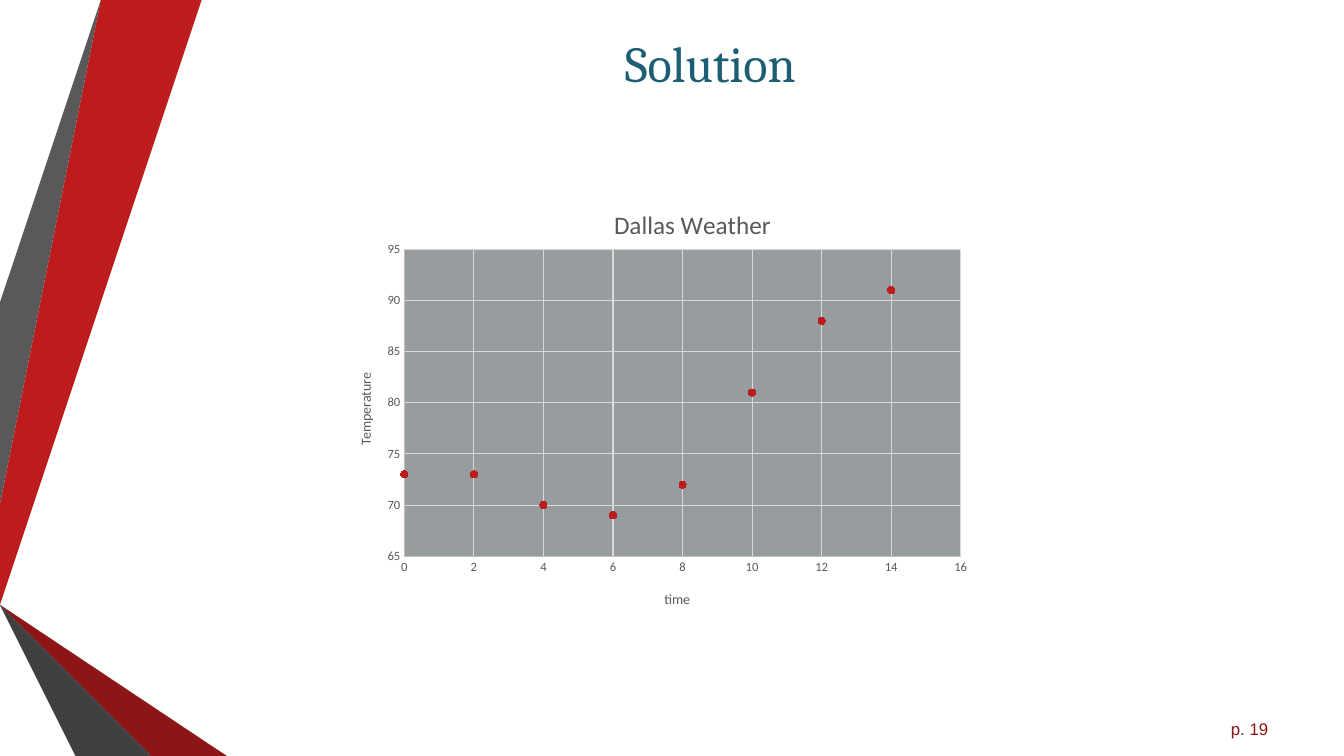
from lxml import etree
from pptx import Presentation
from pptx import util as u
from pptx.chart.data import XyChartData
from pptx.dml.color import RGBColor
from pptx.enum import chart as ch, text
from pptx.oxml import ns

W, H = 13.33, 7.5
RED, DARK_RED, GREY = "BC1C1C", "8D1515", "595959"

# Ribbon outlines in inches: colour, corner points
RIBBONS = [
    (RED, [(0, 5.44), (0, 5.75), (0.29, 5.79), (1.56, 0), (1.19, 0)]),
    (GREY, [(1.11, 0), (0.74, 0), (0, 3.36), (0, 5.06)]),
    ("262626", [(0, 6.19), (0, 6.21), (1.25, H), (1.32, H)]),
    ("5E0E0E", [(0, 5.79), (0, 5.8), (2.09, H), (2.17, H)]),
    (DARK_RED, [(0, 5.79), (2.17, H), (3.11, H), (0.29, 5.79), (0, 5.75)]),
    ("404040", [(0, 6.19), (1.32, H), (2.01, H), (0, 5.86)]),
]
TEMPERATURES = [73, 73, 70, 69, 72, 81, 88, 91]


def rgb(value):
    return RGBColor.from_string(value)


def set_font(font, size, color, name="Calibri"):
    for key, value in dict(size=u.Pt(size), name=name, bold=False).items():
        setattr(font, key, value)
    font.color.rgb = rgb(color)


def set_line(line, color):
    line.color.rgb = rgb(color)
    line.width = u.Pt(0.75)


def add_ribbons(s):
    for color, points in RIBBONS:
        builder = s.shapes.build_freeform(*points[0], scale=u.Inches(1))
        builder.add_line_segments(points[1:], close=True)
        sp = builder.convert_to_shape()
        sp.shadow.inherit = False
        sp.fill.solid()
        sp.fill.fore_color.rgb = rgb(color)
        sp.line.fill.background()


def add_label(s, box, words, size, color, name, align, anchor):
    tf = s.shapes.add_textbox(*map(u.Inches, box)).text_frame
    tf.word_wrap = True
    tf.vertical_anchor = anchor
    p = tf.paragraphs[0]
    p.alignment = align
    r = p.add_run()
    r.text = words
    set_font(r.font, size, color, name)


def make_layout(**values):
    """Manual chart layout, in shares of the chart's size."""
    layout = etree.Element(ns.qn("c:layout"))
    manual = etree.SubElement(layout, ns.qn("c:manualLayout"))
    for key, value in values.items():
        etree.SubElement(manual, ns.qn("c:" + key), val=str(value))
    return layout


def place(parent, layout):
    for old in parent.findall(ns.qn("c:layout")):
        parent.remove(old)
    tx = parent.find(ns.qn("c:tx"))
    parent.insert(0 if tx is None else 1, layout)


def set_title(title, words, size, x, y):
    p = title.text_frame.paragraphs[0]
    r = p.add_run()
    r.text = words
    set_font(r.font, size, GREY)
    place(title.element, make_layout(xMode="edge", yMode="edge", x=x, y=y))


def style_axis(axis, low, high, step):
    for key, value in dict(minimum_scale=low, maximum_scale=high, major_unit=step,
                           has_major_gridlines=True,
                           major_tick_mark=ch.XL_TICK_MARK.NONE,
                           minor_tick_mark=ch.XL_TICK_MARK.NONE).items():
        setattr(axis, key, value)
    set_font(axis.tick_labels.font, 9, GREY)
    set_line(axis.format.line, "BFBFBF")
    set_line(axis.major_gridlines.format.line, "D9D9D9")


def add_weather_chart(s, box):
    data = XyChartData()
    series = data.add_series("Series 1")
    for i, temperature in enumerate(TEMPERATURES):
        series.add_data_point(2 * i, temperature)
    chart = s.shapes.add_chart(ch.XL_CHART_TYPE.XY_SCATTER, *map(u.Inches, box), data).chart
    set_font(chart.font, 10, "000000")
    chart.has_legend = False

    # Titles and axes
    chart.has_title = True
    set_title(chart.chart_title, "Dallas Weather", 18, 0.43, 0.04)
    time, heat = chart.category_axis, chart.value_axis
    style_axis(time, 0, 16, 2)
    style_axis(heat, 65, 95, 5)
    set_title(time.axis_title, "time", 10, 0.51, 0.89)
    set_title(heat.axis_title, "Temperature", 10, 0.04, 0.41)
    for body in heat.axis_title.element.iter(ns.qn("a:bodyPr")):
        body.set("rot", "-5400000")
        body.set("vert", "horz")

    # Plot area
    plot_area = chart.element.find(".//" + ns.qn("c:plotArea"))
    place(plot_area, make_layout(layoutTarget="inner", xMode="edge", yMode="edge",
                                 x=0.117, y=0.143, w=0.849, h=0.677))
    sp_pr = etree.SubElement(plot_area, ns.qn("c:spPr"))
    fill = etree.SubElement(sp_pr, ns.qn("a:solidFill"))
    etree.SubElement(fill, ns.qn("a:srgbClr"), val="979D9F")

    # Points
    plot = chart.plots[0]
    plot.vary_by_categories = False
    points = plot.series[0]
    points.smooth = False
    points.format.line.fill.background()
    marker = points.marker
    marker.style = ch.XL_MARKER_STYLE.CIRCLE
    marker.size = 5
    marker.format.fill.solid()
    marker.format.fill.fore_color.rgb = rgb(RED)
    set_line(marker.format.line, RED)


def main():
    prs = Presentation()
    prs.slide_width, prs.slide_height = u.Inches(W), u.Inches(H)
    s = prs.slides.add_slide(prs.slide_layouts[6])
    add_ribbons(s)
    add_label(s, (12.11, 7.08, 0.89, 0.26), "p. 19", 12, DARK_RED, "Arial",
              text.PP_ALIGN.LEFT, text.MSO_ANCHOR.TOP)
    add_label(s, (1.43, 0.27, 11.23, 0.7), "Solution", 36, "1D5E75", "Cambria",
              text.PP_ALIGN.CENTER, text.MSO_ANCHOR.MIDDLE)
    add_weather_chart(s, (3.25, 1.83, 6.5, 4.5))
    prs.save("out.pptx")


if __name__ == "__main__":
    main()
